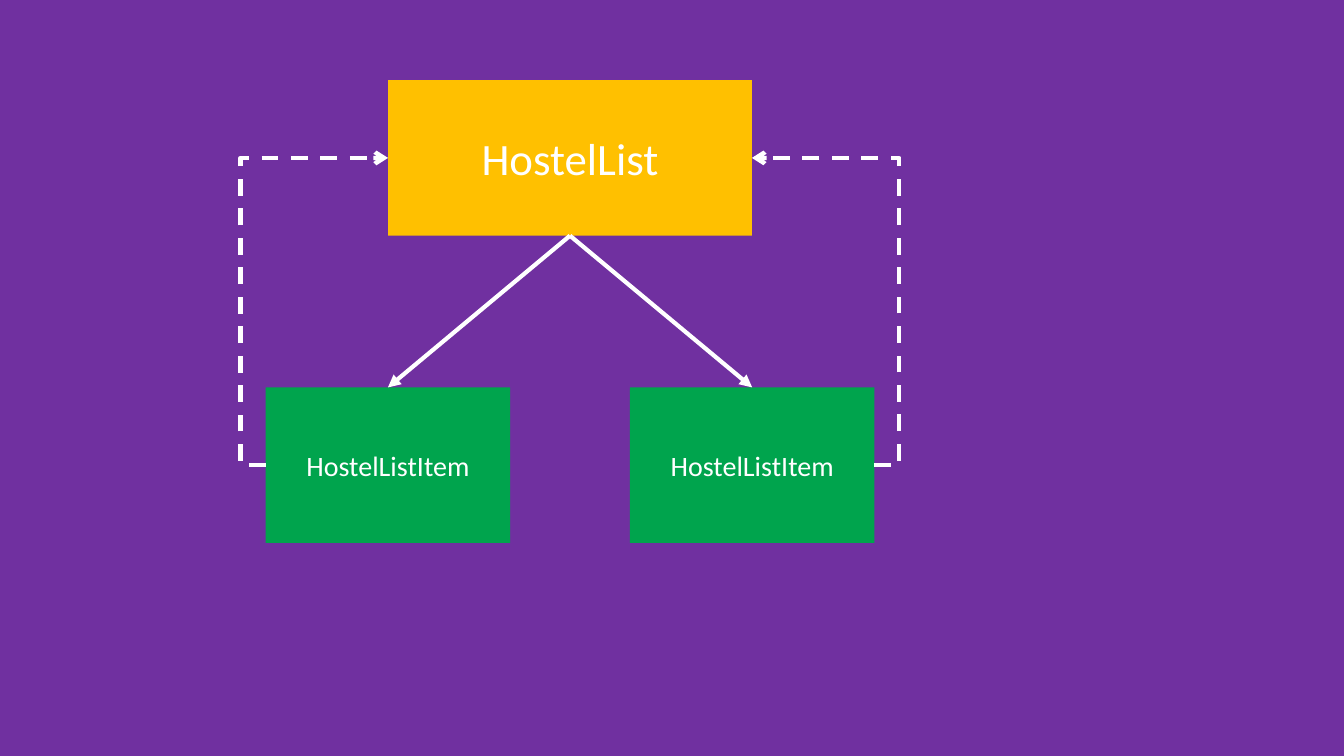
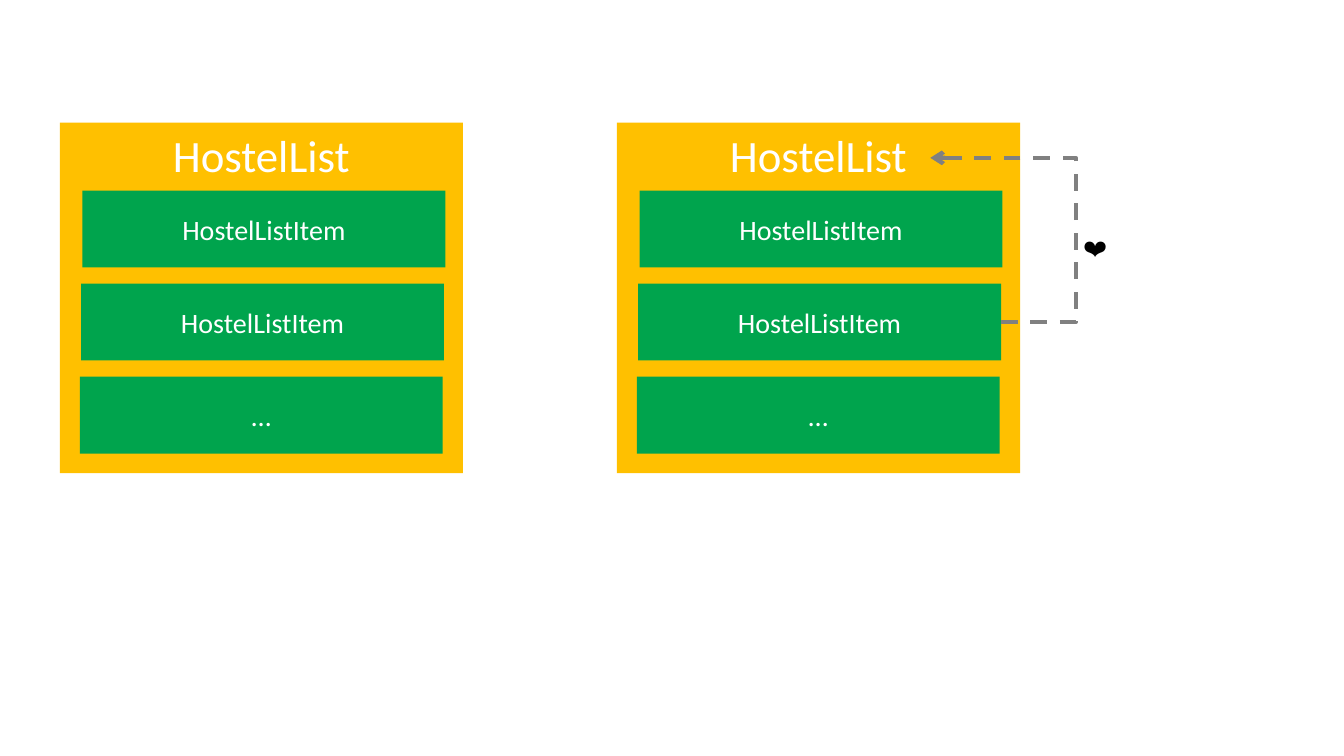
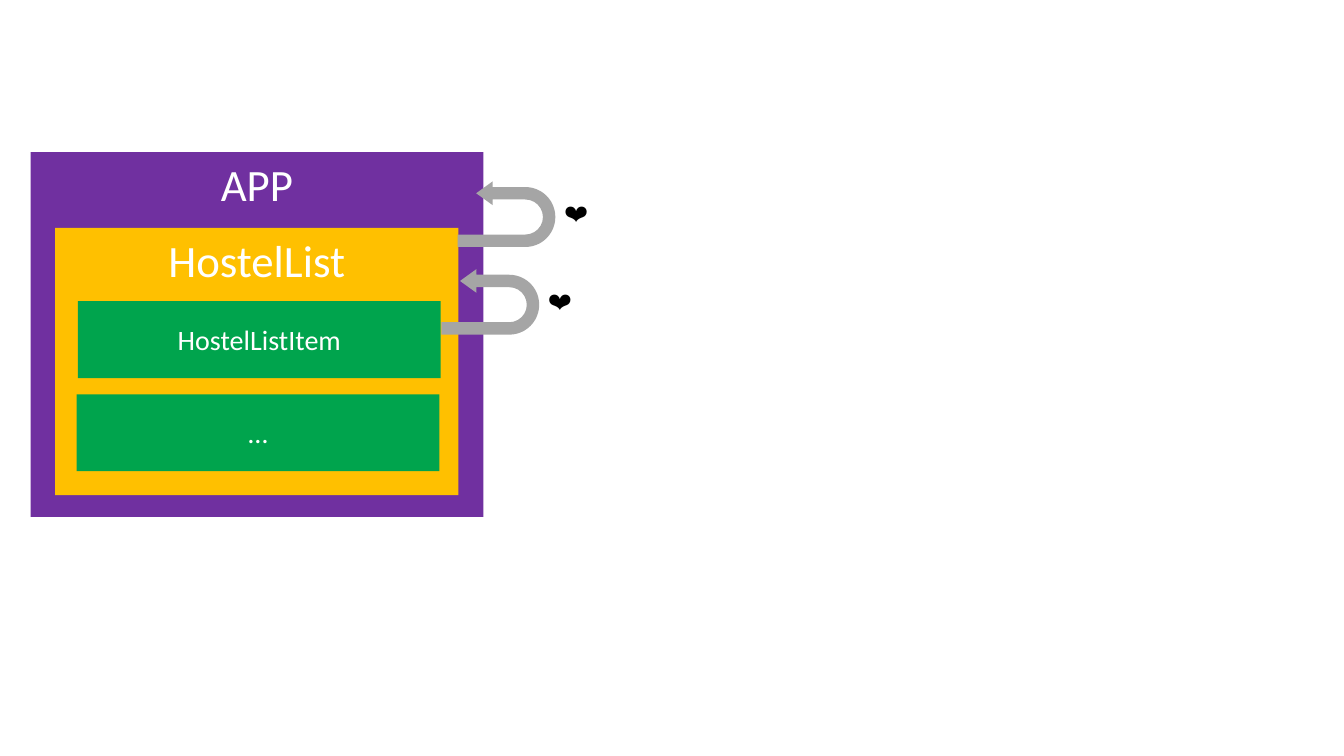
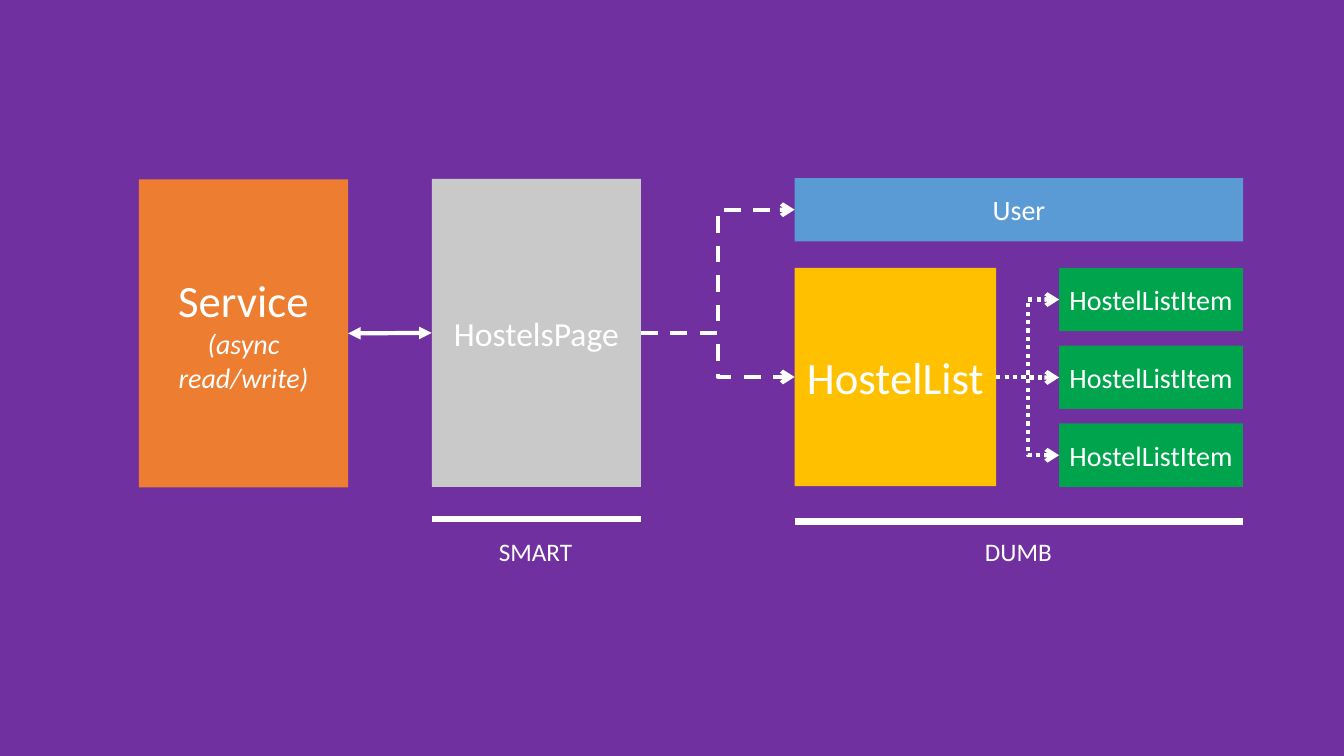
from dataclasses import dataclass
from typing import Optional

from pptx import Presentation
from pptx.dml.color import RGBColor
from pptx.enum.dml import MSO_LINE
from pptx.enum.shapes import MSO_CONNECTOR, MSO_SHAPE
from pptx.enum.text import MSO_ANCHOR, MSO_AUTO_SIZE, PP_ALIGN
from pptx.oxml.ns import qn
from pptx.util import Inches, Pt
from lxml.etree import SubElement

# Grid: 80 columns by 45 rows of square cells
COLUMNS, ROWS = 80, 45
CELL = Inches(1) // 6

# Shared look
FONT = "Calibri"
WHITE = RGBColor(0xFF, 0xFF, 0xFF)
BLACK = RGBColor(0x00, 0x00, 0x00)
PURPLE = RGBColor(0x70, 0x30, 0xA0)
AMBER = RGBColor(0xFF, 0xC0, 0x00)
GREEN = RGBColor(0x00, 0xA4, 0x4D)
ORANGE = RGBColor(0xED, 0x7D, 0x31)
BLUE = RGBColor(0x5B, 0x9B, 0xD5)
LIGHT_GRAY = RGBColor(0xC9, 0xC9, 0xC9)
MID_GRAY = RGBColor(0xA5, 0xA5, 0xA5)
DARK_GRAY = RGBColor(0x80, 0x80, 0x80)
LARGE, MEDIUM, NORMAL, SMALL = 32, 24, 20, 18

# Connection sites of a rectangle
TOP, LEFT, BOTTOM, RIGHT = range(4)

# Component names and list rows
LIST, ITEM, MORE = "HostelList", "HostelListItem", "…"
LIST_WIDTH = 24
ROW_WIDTH, ROW_HEIGHT, ROW_STEP = 21.6, 4.58, 5.54
HEART = "❤️"


@dataclass(frozen=True)
class Area:
    """A rectangle in grid cells."""
    left: float
    top: float
    width: float
    height: float

    def lengths(self) -> tuple:
        return tuple(cells(n) for n in (self.left, self.top, self.width, self.height))

    def side(self, site: int) -> tuple:
        """Middle of one side, in cells."""
        middle, center = self.left + self.width / 2, self.top + self.height / 2
        return ((middle, self.top), (self.left, center),
                (middle, self.top + self.height), (self.left + self.width, center))[site]


@dataclass(frozen=True)
class Stroke:
    color: RGBColor = WHITE
    width: float = 3
    dash: Optional[MSO_LINE] = None
    head: str = ""
    tail: str = ""


PLAIN_ARROW = Stroke(tail="triangle")
DOUBLE_ARROW = Stroke(head="triangle", tail="triangle")
DASHED_ARROW = Stroke(dash=MSO_LINE.DASH, tail="arrow")
GRAY_ARROW = Stroke(color=DARK_GRAY, dash=MSO_LINE.DASH, tail="arrow")
DOTTED_ARROW = Stroke(dash=MSO_LINE.ROUND_DOT, tail="arrow")
THICK_RULE = Stroke(width=4.5)


def cells(count: float) -> int:
    return round(count * CELL)


# Text and shapes
def add_text(para, text: str, *, size: float = NORMAL, color: RGBColor = WHITE,
             italic: Optional[bool] = None) -> None:
    span = para.add_run()
    span.text = text
    span.font.name = FONT
    span.font.size = Pt(size)
    span.font.color.rgb = color
    span.font.italic = italic


def add_figure(page, kind: MSO_SHAPE, area: Area, fill: RGBColor):
    figure = page.shapes.add_shape(kind, *area.lengths())
    figure.shadow.inherit = False
    figure.fill.solid()
    figure.fill.fore_color.rgb = fill
    figure.line.fill.background()
    return figure


def add_box(page, area: Area, fill: RGBColor, text: str, *, size: float = NORMAL,
            anchor: MSO_ANCHOR = MSO_ANCHOR.MIDDLE):
    box = add_figure(page, MSO_SHAPE.RECTANGLE, area, fill)
    box.text_frame.vertical_anchor = anchor
    para = box.text_frame.paragraphs[0]
    para.alignment = PP_ALIGN.CENTER
    add_text(para, text, size=size)
    return box


def add_label(page, area: Area, text: str, *, color: RGBColor = WHITE,
              wrap: bool = False) -> None:
    frame = page.shapes.add_textbox(*area.lengths()).text_frame
    frame.word_wrap = wrap
    frame.auto_size = MSO_AUTO_SIZE.SHAPE_TO_FIT_TEXT
    add_text(frame.paragraphs[0], text, size=SMALL, color=color)


# Lines
def add_line(page, start: tuple, end: tuple, stroke: Stroke,
             kind: MSO_CONNECTOR = MSO_CONNECTOR.STRAIGHT):
    line = page.shapes.add_connector(kind, *(cells(n) for n in (*start, *end)))
    line.line.color.rgb = stroke.color
    line.line.width = Pt(stroke.width)
    if stroke.dash is not None:
        line.line.dash_style = stroke.dash
    properties = line.element.spPr
    outline = properties.find(qn("a:ln"))
    for tag, ending in (("a:headEnd", stroke.head), ("a:tailEnd", stroke.tail)):
        if ending:
            SubElement(outline, qn(tag), type=ending)
    SubElement(properties, qn("a:effectLst"))
    return line


def add_elbow(page, start: tuple, end: tuple, stroke: Stroke,
              turn: Optional[float] = None) -> None:
    """Draw a bent line whose upright part stands at column turn, or halfway."""
    line = add_line(page, start, end, stroke, MSO_CONNECTOR.ELBOW)
    if turn is not None:
        share = (turn - start[0]) / (end[0] - start[0])
        geometry = line.element.spPr.find(qn("a:prstGeom"))
        SubElement(geometry.find(qn("a:avLst")), qn("a:gd"),
                   name="adj1", fmla=f"val {round(share * 100000)}")


def join(page, start_box, start_site: int, end_box, end_site: int, stroke: Stroke) -> None:
    line = add_line(page, (0, 0), (1, 1), stroke)
    line.begin_connect(start_box, start_site)
    line.end_connect(end_box, end_site)


# Parts that recur on several slides
def add_page(deck, background: RGBColor):
    page = deck.slides.add_slide(deck.slide_layouts[6])
    page.background.fill.solid()
    page.background.fill.fore_color.rgb = background
    return page


def add_list_panel(page, area: Area, first_row: float, labels: tuple) -> list[Area]:
    """Draw a list with its rows inside and return the areas of the rows."""
    add_box(page, area, AMBER, LIST, size=LARGE, anchor=MSO_ANCHOR.TOP)
    rows = [Area(area.left + 1.35 - 0.08 * index, area.top + first_row + ROW_STEP * index,
                 ROW_WIDTH, ROW_HEIGHT) for index in range(len(labels))]
    for row, label in zip(rows, labels):
        add_box(page, row, GREEN, label)
    return rows


def add_heart(page, left: float, top: float, wrap: bool) -> None:
    add_label(page, Area(left, top, 2.7, 2.4), HEART, color=BLACK, wrap=wrap)


def add_uturn(page, left: float, top: float) -> None:
    arrow = add_figure(page, MSO_SHAPE.U_TURN_ARROW, Area(left, top, 3.9, 5.82), MID_GRAY)
    for index, share in enumerate((0.19, 0.18, 0.25, 0.47, 0.81)):
        arrow.adjustments[index] = share
    arrow.rotation = 90
    arrow.element.spPr.find(qn("a:xfrm")).set("flipH", "1")


def add_group_rule(page, left: float, right: float, row: float, text: str,
                   width: float) -> None:
    """Underline a group of boxes and centre its name below."""
    add_line(page, (left, row), (right, row), THICK_RULE)
    add_label(page, Area((left + right - width) / 2, 31.62, width, 2.4), text)


# Slides
def build_tree(deck) -> None:
    page = add_page(deck, PURPLE)
    parent = Area(23.1, 4.77, 21.66, 9.26)
    parent_box = add_box(page, parent, AMBER, LIST, size=LARGE)
    for left, site, turn in ((37.5, RIGHT, 53.54), (15.82, LEFT, 14.32)):
        child = Area(left, 23.06, 14.55, 9.26)
        child_box = add_box(page, child, GREEN, ITEM)
        join(page, parent_box, BOTTOM, child_box, TOP, PLAIN_ARROW)
        add_elbow(page, child.side(site), parent.side(site), DASHED_ARROW, turn)


def build_list_event(deck) -> None:
    page = add_page(deck, WHITE)
    for left in (3.56, 36.72):
        rows = add_list_panel(page, Area(left, 7.3, LIST_WIDTH, 20.86), 4.04,
                              (ITEM, ITEM, MORE))
    add_elbow(page, rows[1].side(RIGHT), (55.38, 9.4), GRAY_ARROW, 64.05)
    add_heart(page, 63.9, 13.62, wrap=False)


def build_app_event(deck) -> None:
    page = add_page(deck, WHITE)
    add_box(page, Area(1.82, 9.05, 26.95, 21.72), PURPLE, "APP", size=LARGE,
            anchor=MSO_ANCHOR.TOP)
    add_list_panel(page, Area(3.29, 13.57, LIST_WIDTH, 15.9), 4.36, (ITEM, MORE))
    for left, top in ((27.24, 15.06), (28.2, 9.84)):
        add_uturn(page, left, top)
        add_heart(page, left + 4.8, top + 1.68, wrap=True)


def build_smart_and_dumb(deck) -> None:
    page = add_page(deck, PURPLE)
    service = Area(8.27, 10.68, 12.45, 18.33)
    smart = Area(25.7, 10.65, 12.45, 18.33)
    user = Area(47.3, 10.6, 26.7, 3.77)
    hostels = Area(47.3, 15.94, 12, 13)

    service_box = add_box(page, service, ORANGE, "Service", size=LARGE)
    para = service_box.text_frame.paragraphs[0]
    para.add_line_break()
    add_text(para, "(async read/write)", italic=True)
    smart_box = add_box(page, smart, LIGHT_GRAY, "HostelsPage", size=MEDIUM)
    add_box(page, user, BLUE, "User")
    add_box(page, hostels, AMBER, LIST, size=LARGE)

    join(page, service_box, RIGHT, smart_box, LEFT, DOUBLE_ARROW)
    for target in (hostels, user):
        add_elbow(page, smart.side(RIGHT), target.side(LEFT), DASHED_ARROW)
    for index in range(3):
        item = Area(63.04, 15.95 + 4.63 * index, 10.95, 3.77)
        add_box(page, item, GREEN, ITEM)
        add_elbow(page, hostels.side(RIGHT), item.side(LEFT), DOTTED_ARROW)

    add_group_rule(page, smart.left, smart.left + smart.width, 30.9, "SMART", 5.64)
    add_group_rule(page, user.left, user.left + user.width, 31.05, "DUMB", 5.22)


def main() -> None:
    deck = Presentation()
    deck.slide_width, deck.slide_height = cells(COLUMNS), cells(ROWS)
    for build in (build_tree, build_list_event, build_app_event, build_smart_and_dumb):
        build(deck)
    deck.save("out.pptx")


if __name__ == "__main__":
    main()
